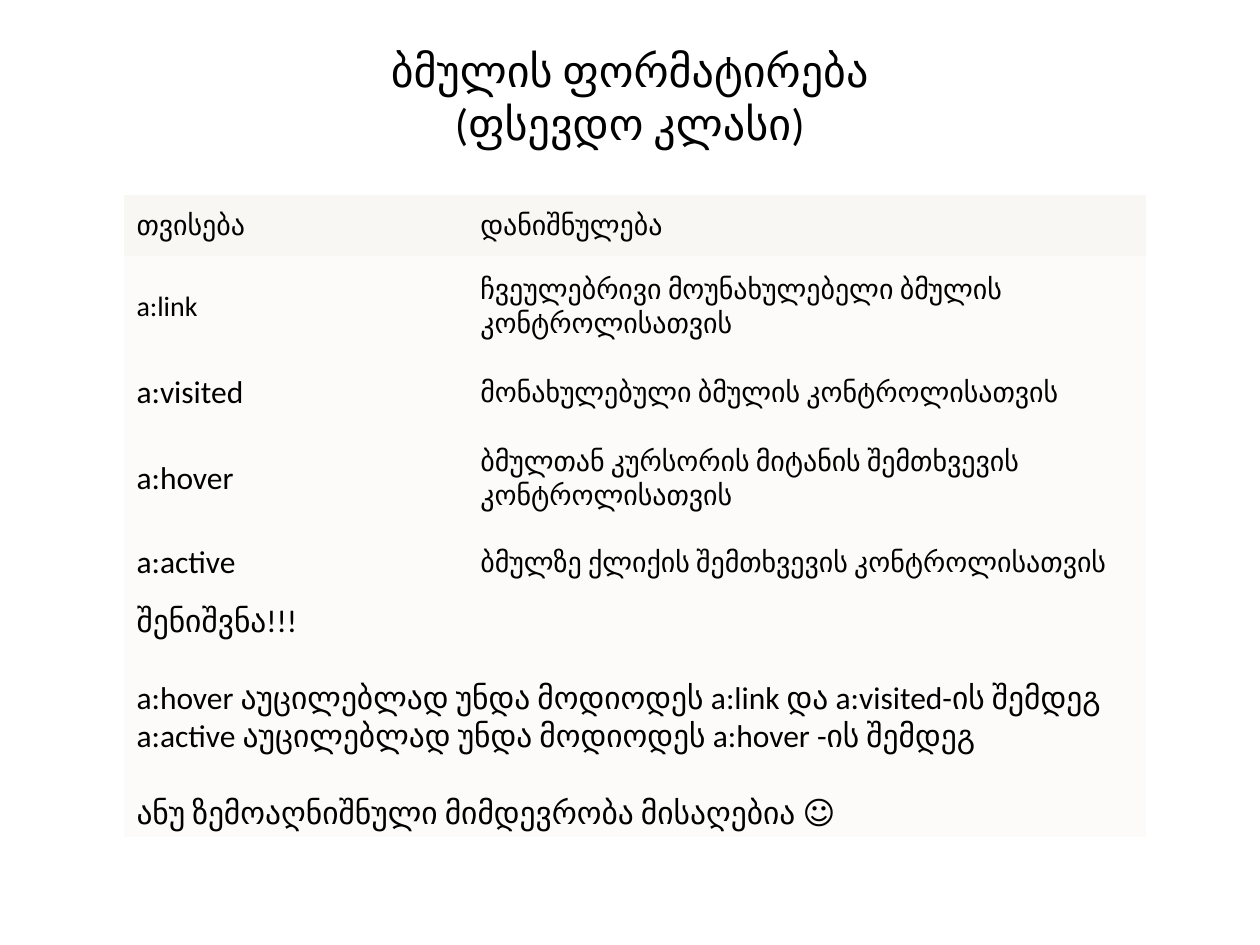
from pptx import Presentation
from pptx.dml.color import RGBColor
from pptx.enum.text import MSO_ANCHOR, PP_ALIGN
from pptx.oxml.ns import qn
from pptx.util import Pt

COLORS = {"text": "000000", "header": "F8F7F3", "body": "FCFBF9"}
NO_STYLE = "{2D5ABB26-0587-4C30-8999-92F81FD0307C}"


def format_text(paragraph, size):
    for run in paragraph.runs:
        run.font.name = "Calibri"
        run.font.size = Pt(size)
        run.font.color.rgb = RGBColor.from_string(COLORS["text"])


def fill_cell(cell, text, size, color):
    cell.text_frame.text = text
    cell.vertical_anchor = MSO_ANCHOR.MIDDLE
    cell.fill.solid()
    cell.fill.fore_color.rgb = RGBColor.from_string(COLORS[color])
    for paragraph in cell.text_frame.paragraphs:
        format_text(paragraph, size)


presentation = Presentation()
presentation.slide_width = Pt(720)
presentation.slide_height = Pt(540)
slide = presentation.slides.add_slide(presentation.slide_layouts[6])

title = slide.shapes.add_textbox(Pt(36), Pt(21.6), Pt(648), Pt(67))
title.text_frame.word_wrap = True
title.text_frame.vertical_anchor = MSO_ANCHOR.MIDDLE
title_paragraph = title.text_frame.paragraphs[0]
title_paragraph.text = "ბმულის ფორმატირება\v(ფსევდო კლასი)"
title_paragraph.alignment = PP_ALIGN.CENTER
format_text(title_paragraph, 25.2)

rows = [
    ("თვისება", "დანიშნულება", 16, 34.5),
    ("a:link", "ჩვეულებრივი მოუნახულებელი ბმულის კონტროლისათვის", 16, 59),
    ("a:visited", "მონახულებული ბმულის კონტროლისათვის", 18, 39),
    ("a:hover", "ბმულთან კურსორის მიტანის შემთხვევის კონტროლისათვის", 18, 59),
    ("a:active", "ბმულზე ქლიქის შემთხვევის კონტროლისათვის", 18, 37.5),
]
note_lines = [
    "შენიშვნა!!!",
    "a:hover აუცილებლად უნდა მოდიოდეს a:link და a:visited-ის შემდეგ",
    "a:active აუცილებლად უნდა მოდიოდეს a:hover -ის შემდეგ",
    "ანუ ზემოაღნიშნული მიმდევრობა მისაღებია ☺",
]
note_height = 137

table_frame = slide.shapes.add_table(
    len(rows) + 1, 2, Pt(70.8), Pt(111.6), Pt(584), Pt(366)
)
table = table_frame.table
table.first_row = False
table.horz_banding = False
table_frame._element.find(".//" + qn("a:tableStyleId")).text = NO_STYLE
table.columns[0].width = Pt(196.5)
table.columns[1].width = Pt(387.5)

for index, (selector, purpose, selector_size, height) in enumerate(rows):
    color = "header" if index == 0 else "body"
    table.rows[index].height = Pt(height)
    fill_cell(table.cell(index, 0), selector, selector_size, color)
    fill_cell(table.cell(index, 1), purpose, 16, color)

note_row = len(rows)
table.rows[note_row].height = Pt(note_height)
note = table.cell(note_row, 0)
note.merge(table.cell(note_row, 1))
fill_cell(note, "\n".join(note_lines), 18, "body")
for index in (1, 3):
    note.text_frame.paragraphs[index].space_before = Pt(22)

presentation.save("out.pptx")
